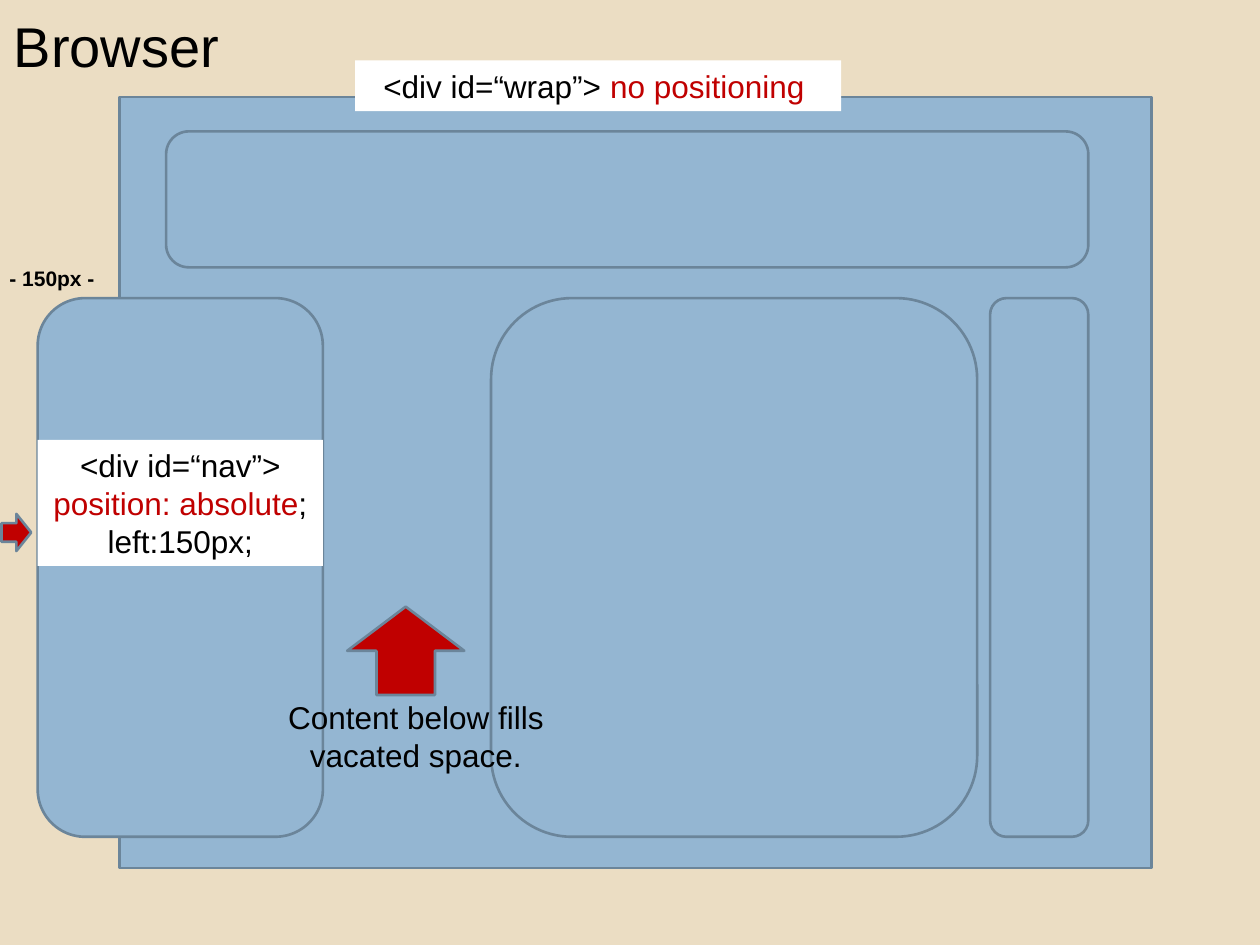
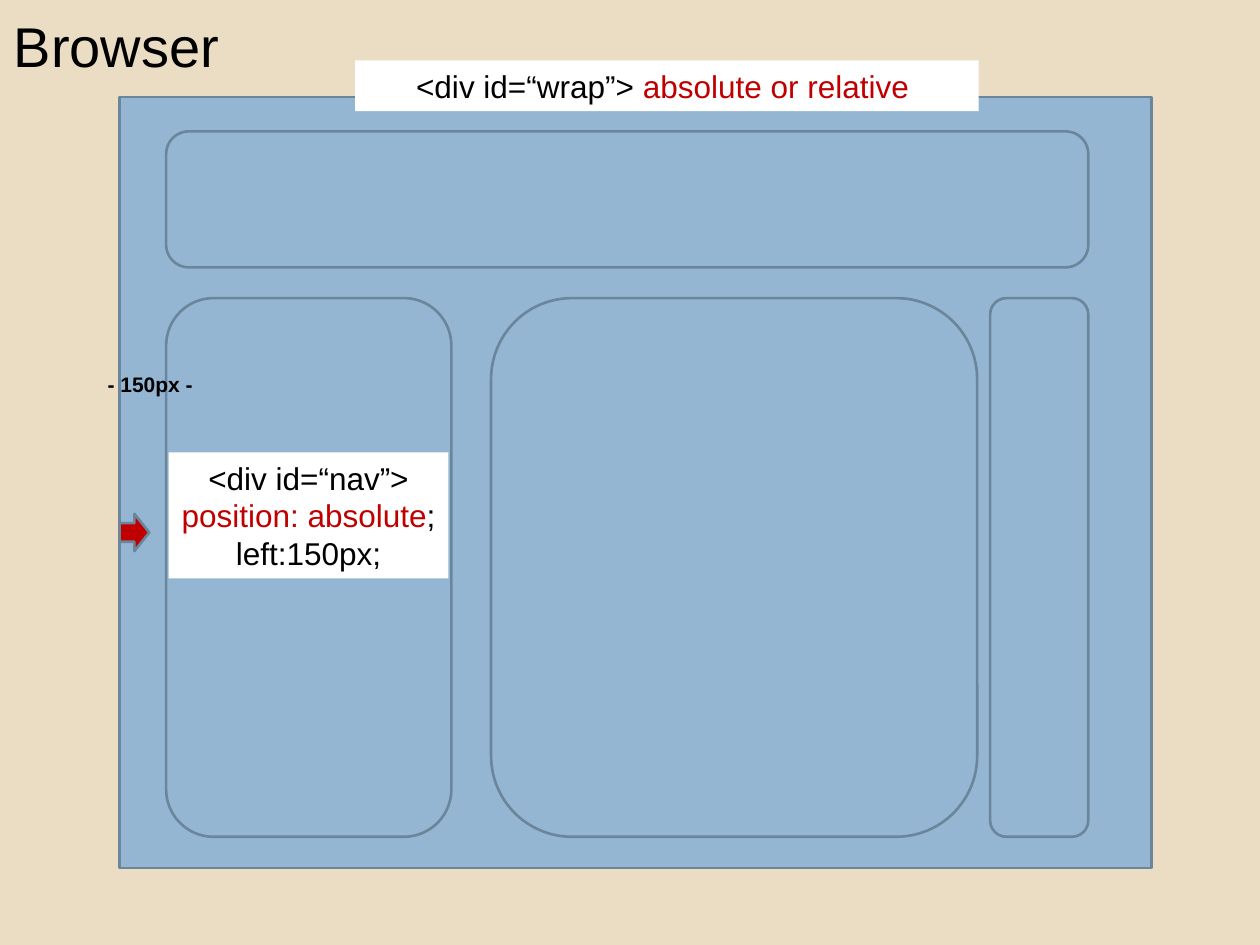
from dataclasses import dataclass

from pptx import Presentation
from pptx.dml.color import RGBColor
from pptx.enum.shapes import MSO_SHAPE
from pptx.enum.text import MSO_ANCHOR, PP_ALIGN
from pptx.util import Cm, Pt

RECTANGLE = MSO_SHAPE.RECTANGLE
ROUNDED = MSO_SHAPE.ROUNDED_RECTANGLE
RIGHT_ARROW = MSO_SHAPE.RIGHT_ARROW
UP_ARROW = MSO_SHAPE.UP_ARROW
LEFT, CENTER = PP_ALIGN.LEFT, PP_ALIGN.CENTER
TOP = MSO_ANCHOR.TOP


@dataclass(frozen=True)
class Theme:
    font: str = "Arial"
    sand: RGBColor = RGBColor(0xEB, 0xDD, 0xC3)
    panel: RGBColor = RGBColor(0x94, 0xB6, 0xD2)
    outline: RGBColor = RGBColor(0x6B, 0x85, 0x9A)
    label: RGBColor = RGBColor(0xFF, 0xFF, 0xFF)
    ink: RGBColor = RGBColor(0, 0, 0)
    accent: RGBColor = RGBColor(0xC0, 0, 0)
    line_width: float = 1.5
    title_size: int = 32
    label_size: int = 18
    marker_size: int = 12


@dataclass(frozen=True)
class Box:
    left: float
    top: float
    width: float
    height: float

    def inner(self, left, top, width, height):
        return Box(self.left + left, self.top + top, width, height)

    def lengths(self):
        return Cm(self.left), Cm(self.top), Cm(self.width), Cm(self.height)


THEME = Theme()
WRAP = Box(2.41, 1.96, 20.8, 15.54)
HEADER = WRAP.inner(0.94, 0.69, 18.59, 2.74)
COLUMN_TOP = HEADER.top + 3.36
COLUMN_HEIGHT = 10.86
NAV_WIDTH, CONTENT_WIDTH, SIDEBAR_WIDTH = 5.75, 9.8, 1.98
SIDEBAR_LEFT = HEADER.left + HEADER.width - SIDEBAR_WIDTH
CONTENT_LEFT = SIDEBAR_LEFT - 0.26 - CONTENT_WIDTH


def add_block(page, kind, box, fill, outlined=True):
    block = page.shapes.add_shape(kind, *box.lengths())
    block.shadow.inherit = False
    block.fill.solid()
    block.fill.fore_color.rgb = fill
    if outlined:
        block.line.color.rgb = THEME.outline
        block.line.width = Pt(THEME.line_width)
    else:
        block.line.fill.background()
    return block


def write(shape, lines, size, align=CENTER, bold=False, wrap=True):
    frame = shape.text_frame
    frame.word_wrap = wrap
    frame.vertical_anchor = TOP
    for index, spans in enumerate(lines):
        para = frame.add_paragraph() if index else frame.paragraphs[0]
        para.alignment = align
        for text, color in spans:
            span = para.add_run()
            span.text = text
            span.font.name = THEME.font
            span.font.size = Pt(size)
            span.font.bold = bold
            span.font.color.rgb = color


def add_note(page, box, text, size, **style):
    note = page.shapes.add_textbox(*box.lengths())
    write(note, [[(text, THEME.ink)]], size, **style)


def add_label(page, box, lines):
    label = add_block(page, RECTANGLE, box, THEME.label, outlined=False)
    write(label, lines, THEME.label_size)


def add_layout(page, nav):
    add_block(page, RECTANGLE, WRAP, THEME.panel)
    content = Box(CONTENT_LEFT, COLUMN_TOP, CONTENT_WIDTH, COLUMN_HEIGHT)
    sidebar = Box(SIDEBAR_LEFT, COLUMN_TOP, SIDEBAR_WIDTH, COLUMN_HEIGHT)
    for box in (HEADER, nav, content, sidebar):
        add_block(page, ROUNDED, box, THEME.panel)


def add_wrap_label(page, width, positioning):
    add_label(page, WRAP.inner(4.75, -0.74, width, 1.02),
              [[("<div id=“wrap”> ", THEME.ink), (positioning, THEME.accent)]])


def add_nav_label(page, box):
    add_label(page, box, [
        [("<div id=“nav”> ", THEME.ink), ("position: absolute", THEME.accent),
         (";", THEME.ink)],
        [("left:150px;", THEME.ink)],
    ])


def add_offset(page, edge, marker):
    add_note(page, marker, "- 150px -", THEME.marker_size, bold=True)
    add_block(page, RIGHT_ARROW, Box(edge, 10.36, 0.6, 0.75), THEME.accent)


def add_vacated_space(page, box):
    add_block(page, UP_ARROW, box.inner(1.56, 0, 2.36, 1.78), THEME.accent)
    add_note(page, box.inner(0, 1.72, box.width, 1.78),
             "Content below fills vacated space.", THEME.label_size)


def add_browser_page(deck, nav_left, wrap_width, positioning):
    page = deck.slides.add_slide(deck.slide_layouts[6])
    page.background.fill.solid()
    page.background.fill.fore_color.rgb = THEME.sand
    nav = Box(nav_left, COLUMN_TOP, NAV_WIDTH, COLUMN_HEIGHT)
    add_layout(page, nav)
    add_note(page, Box(0.03, 0.1, 4.65, 1.62), "Browser", THEME.title_size,
             align=LEFT, wrap=False)
    add_wrap_label(page, wrap_width, positioning)
    return page, nav


def add_unpositioned_wrap(deck):
    page, nav = add_browser_page(deck, 0.76, 9.8, "no positioning ")
    add_nav_label(page, nav.inner(0, 2.86, NAV_WIDTH, 2.54))
    add_offset(page, 0.03, Box(-0.23, 5.23, 2.56, 0.76))
    add_vacated_space(page, Box(5.44, 12.23, 5.89, 3.5))


def add_positioned_wrap(deck):
    page, nav = add_browser_page(deck, HEADER.left, 12.57, "absolute or relative ")
    add_nav_label(page, nav.inner(0.05, 3.11, 5.64, 2.54))
    add_offset(page, WRAP.left, Box(1.75, 7.37, 2.56, 0.76))


def main():
    deck = Presentation()
    deck.slide_width, deck.slide_height = Cm(25.4), Cm(19.05)
    add_unpositioned_wrap(deck)
    add_positioned_wrap(deck)
    deck.save("out.pptx")


if __name__ == "__main__":
    main()
